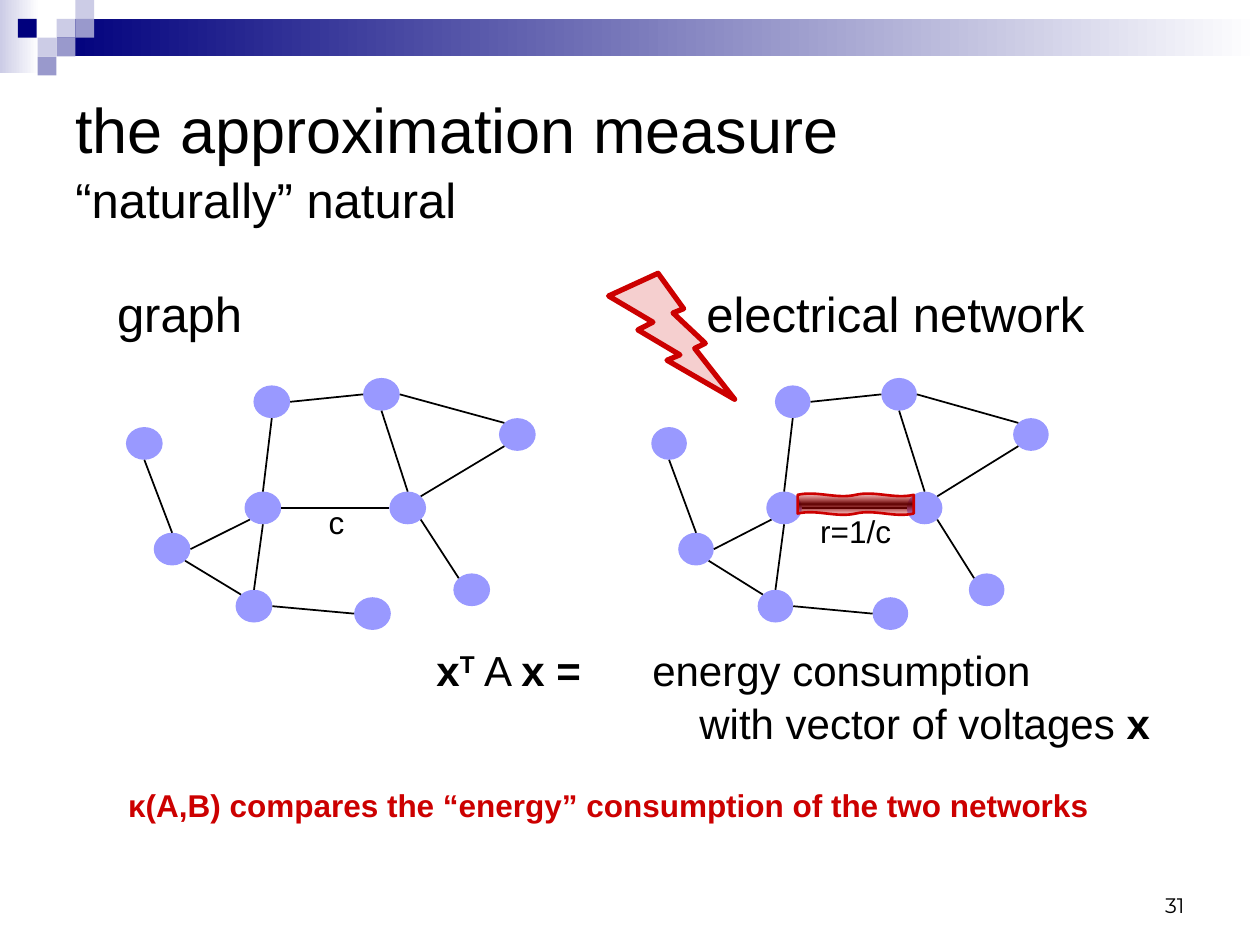
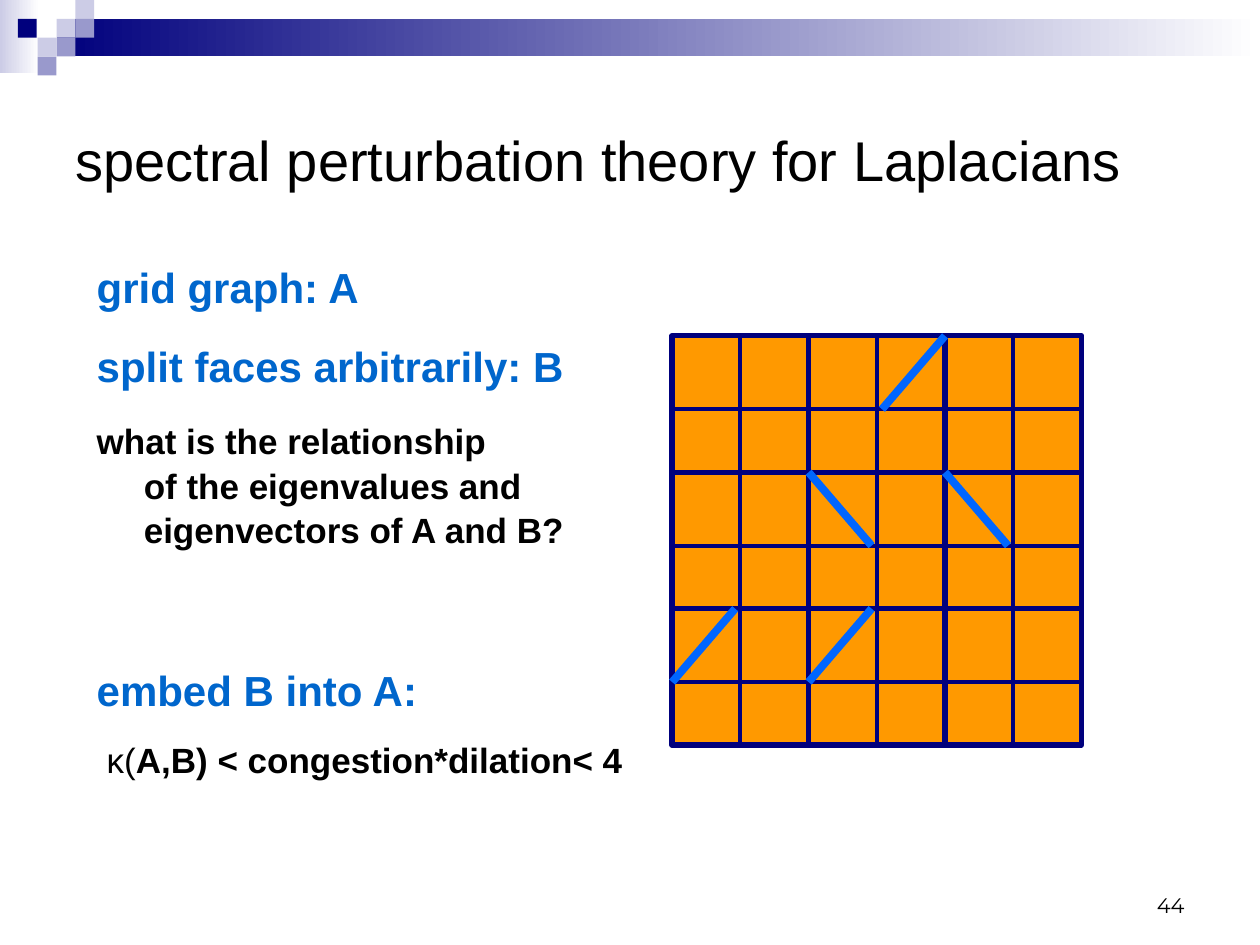
from copy import deepcopy
from dataclasses import dataclass

from lxml import etree
from pptx import Presentation
from pptx.dml.color import RGBColor
from pptx.enum.shapes import MSO_CONNECTOR, MSO_SHAPE
from pptx.enum.text import MSO_ANCHOR, PP_ALIGN
from pptx.oxml.ns import qn
from pptx.util import Cm, Pt

STRAIGHT = MSO_CONNECTOR.STRAIGHT
RECTANGLE, OVAL = MSO_SHAPE.RECTANGLE, MSO_SHAPE.OVAL
BOLT, WAVE = MSO_SHAPE.LIGHTNING_BOLT, MSO_SHAPE.DOUBLE_WAVE
TOP, MIDDLE, BOTTOM = MSO_ANCHOR.TOP, MSO_ANCHOR.MIDDLE, MSO_ANCHOR.BOTTOM
LEFT, CENTER, RIGHT = PP_ALIGN.LEFT, PP_ALIGN.CENTER, PP_ALIGN.RIGHT

BLACK = RGBColor(0x00, 0x00, 0x00)
WHITE = RGBColor(0xFF, 0xFF, 0xFF)
NAVY = RGBColor(0x00, 0x00, 0x7D)
LAVENDER = RGBColor(0xCC, 0xCC, 0xE6)
VIOLET = RGBColor(0x99, 0x99, 0xCC)
NODE_BLUE = RGBColor(0x99, 0x99, 0xFF)
RED = RGBColor(0xCC, 0x00, 0x00)
DARK_RED = RGBColor(0x5E, 0x00, 0x00)
HEADING_BLUE = RGBColor(0x00, 0x66, 0xCC)
SPLIT_BLUE = RGBColor(0x00, 0x66, 0xFF)
ORANGE = RGBColor(0xFF, 0x99, 0x00)

BODY_FONT, NUMBER_FONT = "Arial", "Montserrat"
LINE_SPACING = 1.06
HANG = 0.95


@dataclass
class Para:
    spans: list
    size: float
    color: RGBColor = BLACK
    bold: bool = None
    before: float = 0
    left: float = HANG
    first: float = -HANG
    align: int = LEFT
    font: str = BODY_FONT


TILE = 0.38
BAND_TILES = [
    (1.14, 0.38, LAVENDER), (1.52, 0, LAVENDER), (1.52, 0.38, VIOLET),
    (0.76, 0.76, LAVENDER), (0.36, 0.38, NAVY), (1.14, 0.76, VIOLET),
    (0.76, 1.14, VIOLET),
]

TITLE_BOX = (1.27, 1.27, 22.86, 3.81)
NUMBER_BOX = (18.21, 17.35, 5.92, 1.27)

MEASURE_TITLE = [("the approximation measure\v", {}), ("“naturally” natural", {"size": 28})]
GRAPH_TEXT = [
    Para([("graph", {})], 28, left=0.84, first=0),
    Para([("x", {"bold": True}), ("T", {"bold": True, "raised": True}),
          (" A ", {}), ("x =", {"bold": True})], 24, before=171, left=7.28, first=0),
]
NETWORK_TEXT = [
    Para([("electrical network", {})], 28, left=1.09, first=0),
    Para([("energy consumption\vwith vector of voltages ", {}), ("x", {"bold": True})],
         24, before=171),
]
CONCLUSION = "κ(A,B) compares the “energy” consumption of the two networks"

NODE_WIDTH, NODE_HEIGHT = 0.74, 0.66
NODES = {
    "a": (0, 0.99), "b": (2.57, 0.15), "c": (0.56, 3.12), "d": (2.39, 2.29),
    "e": (2.21, 4.27), "f": (4.6, 4.42), "g": (6.6, 3.94), "h": (5.31, 2.29),
    "i": (7.52, 0.81), "j": (4.78, 0),
}
SITES = {
    "N": (0, -1), "S": (0, 1), "W": (-1, 0), "E": (1, 0),
    "NW": (-0.71, -0.71), "NE": (0.71, -0.71), "SW": (-0.71, 0.71), "SE": (0.71, 0.71),
}
EDGES = [
    ("a", "S", "c", "N"), ("c", "E", "d", "SW"), ("b", "S", "d", "N"),
    ("d", "S", "e", "N"), ("e", "NW", "c", "SE"), ("d", "E", "h", "W"),
    ("e", "E", "f", "W"), ("h", "SE", "g", "NW"), ("i", "SW", "h", "NE"),
    ("j", "E", "i", "NW"), ("j", "S", "h", "N"), ("j", "W", "b", "E"),
]

SPECTRAL_TITLE = [("spectral perturbation theory for Laplacians", {})]
SPECTRAL_TEXT = [
    Para([("grid graph: A", {})], 24, HEADING_BLUE, True),
    Para([("split faces arbitrarily: B", {})], 24, HEADING_BLUE, True, 15),
    Para([("what is the relationship\vof the eigenvalues and\veigenvectors of A and B?", {})],
         20, BLACK, True, 15),
    Para([("embed B into A:", {})], 24, HEADING_BLUE, True, 63),
    Para([("κ(", {}), ("A,B) < congestion*dilation< 4", {"bold": True})],
         20, before=12.5, left=0.2, first=0),
]

GRID_LEFT, GRID_TOP, FACE, FACE_COUNT = 13.55, 6.77, 2.75, 3
SPLIT_WIDTH, SPLIT_HEIGHT = 1.27, 1.48
SPLITS = [
    (0, 2, 0, True), (1, 1, 0, False), (1, 2, 0, True),
    (1, 0, FACE - SPLIT_WIDTH, True), (2, 1, 0, False),
]


def set_alpha(color_parent, percent):
    color = next(color_parent.iter(qn("a:srgbClr")))
    etree.SubElement(color, qn("a:alpha")).set("val", str(percent * 1000))


def add_figure(page, kind, area, fill=None, line=None, width=1):
    figure = page.shapes.add_shape(kind, *map(Cm, area))
    figure.shadow.inherit = False
    if fill is not None:
        figure.fill.solid()
        figure.fill.fore_color.rgb = fill
    if line is None:
        figure.line.fill.background()
    else:
        figure.line.color.rgb = line
        figure.line.width = Pt(width)
    return figure


def add_gradient(figure, colors, angle):
    figure.fill.gradient()
    stop_list = next(figure.element.spPr.iter(qn("a:gsLst")))
    while len(stop_list) < len(colors):
        stop_list.append(deepcopy(stop_list[-1]))
    for index, (stop, color) in enumerate(zip(figure.fill.gradient_stops, colors)):
        stop.color.rgb = color
        stop.position = index / (len(colors) - 1)
    figure.fill.gradient_angle = angle
    return stop_list


def add_line(page, start, end, color, width):
    line = page.shapes.add_connector(STRAIGHT, *map(Cm, (*start, *end)))
    line.line.color.rgb = color
    line.line.width = Pt(width)
    etree.SubElement(line.element.spPr, qn("a:effectLst"))
    return line


def add_span(para, text, bold=None, size=None, raised=False):
    for index, piece in enumerate(text.split("\v")):
        if index:
            para.add_line_break()
        if not piece:
            continue
        span = para.add_run()
        span.text = piece
        if bold is not None:
            span.font.bold = bold
        if size:
            span.font.size = Pt(size)
        if raised:
            span.font._element.set("baseline", "30000")


def add_text(page, area, paras, anchor=TOP):
    box = page.shapes.add_textbox(*map(Cm, area))
    frame = box.text_frame
    frame.word_wrap = True
    frame.vertical_anchor = anchor
    for index, item in enumerate(paras):
        para = frame.add_paragraph() if index else frame.paragraphs[0]
        para.alignment = item.align
        para.line_spacing = LINE_SPACING
        if item.before:
            para.space_before = Pt(item.before)
        properties = para._p.get_or_add_pPr()
        properties.set("marL", str(Cm(item.left)))
        properties.set("indent", str(Cm(item.first)))
        para.font.name = item.font
        para.font.size = Pt(item.size)
        para.font.color.rgb = item.color
        para.font.bold = item.bold
        for text, style in item.spans:
            add_span(para, text, **style)


def add_label(page, area, text, color=BLACK, bold=None):
    add_text(page, area, [Para([(text, {})], 18, color, bold, 0, 0, 0, CENTER)])


def add_page(deck, title, title_size, number):
    page = deck.slides.add_slide(deck.slide_layouts[6])
    corner = add_figure(page, RECTANGLE, (0, 0, 0.79, 1.47))
    add_gradient(corner, [LAVENDER, WHITE], 0)
    band = add_figure(page, RECTANGLE, (1.14, 0.38, 24.26, 0.76))
    add_gradient(band, [NAVY, WHITE], 0)
    for left, top, color in BAND_TILES:
        add_figure(page, RECTANGLE, (left, top, TILE, TILE), color)
    add_text(page, TITLE_BOX, [Para(title, title_size, left=0, first=0)], MIDDLE)
    add_text(page, NUMBER_BOX, [Para([(number, {})], 12, left=0, first=0,
                                     align=RIGHT, font=NUMBER_FONT)], BOTTOM)
    return page


def add_graph(page, left, top, stretch):
    width = NODE_WIDTH * stretch

    def site(node, side):
        x, y = NODES[node]
        across, down = SITES[side]
        return (left + x * stretch + width * (1 + across) / 2,
                top + y + NODE_HEIGHT * (1 + down) / 2)

    for x, y in NODES.values():
        add_figure(page, OVAL, (left + x * stretch, top + y, width, NODE_HEIGHT), NODE_BLUE)
    for start, start_side, end, end_side in EDGES:
        add_line(page, site(start, start_side), site(end, end_side), BLACK, 1)


def build_measure(deck):
    page = add_page(deck, MEASURE_TITLE, 36, "31")
    add_text(page, (1.27, 5.51, 11.23, 10.8), GRAPH_TEXT)
    add_text(page, (12.9, 5.51, 11.23, 10.8), NETWORK_TEXT)
    add_graph(page, 2.54, 7.62, 1)
    add_label(page, (6.15, 9.98, 1.27, 1.02), "c")
    add_graph(page, 13.13, 7.62, 0.97)
    bolt = add_figure(page, BOLT, (12.27, 5.51, 2.54, 2.54), RED, RED, 3)
    set_alpha(bolt.element.spPr, 19)
    add_label(page, (15.88, 10.16, 2.74, 1.02), "r=1/c")
    resistor = add_figure(page, WAVE, (16.08, 9.95, 2.34, 0.43), None, RED, 1.5)
    stops = add_gradient(resistor, [RED, DARK_RED, RED], 90)
    for outer in (stops[0], stops[-1]):
        set_alpha(outer, 19)
    add_label(page, (2.11, 15.67, 20.32, 1.02), CONCLUSION, RED, True)


def build_spectral(deck):
    page = add_page(deck, SPECTRAL_TITLE, 32, "44")
    add_text(page, (1.7, 5.08, 11.23, 10.8), SPECTRAL_TEXT)
    side = FACE * FACE_COUNT
    faces = [[add_figure(page, RECTANGLE,
                         (GRID_LEFT + column * FACE, GRID_TOP + row * FACE, FACE, FACE),
                         ORANGE, NAVY, 3)
              for column in range(FACE_COUNT)] for row in range(FACE_COUNT)]
    for column in range(FACE_COUNT):
        x = GRID_LEFT + (column + 0.5) * FACE
        line = add_line(page, (x, GRID_TOP), (x, GRID_TOP + side), NAVY, 2.25)
        line.begin_connect(faces[0][column], 0)
        line.end_connect(faces[-1][column], 2)
    for row in range(FACE_COUNT):
        y = GRID_TOP + row * FACE + SPLIT_HEIGHT
        add_line(page, (GRID_LEFT, y), (GRID_LEFT + side, y), NAVY, 2.25)
    for column, row, shift, rising in SPLITS:
        x, y = GRID_LEFT + column * FACE + shift, GRID_TOP + row * FACE
        start, end = (y + SPLIT_HEIGHT, y) if rising else (y, y + SPLIT_HEIGHT)
        add_line(page, (x, start), (x + SPLIT_WIDTH, end), SPLIT_BLUE, 4.5)


def main():
    deck = Presentation()
    deck.slide_width, deck.slide_height = Cm(25.4), Cm(19.05)
    build_measure(deck)
    build_spectral(deck)
    deck.save("out.pptx")


if __name__ == "__main__":
    main()
